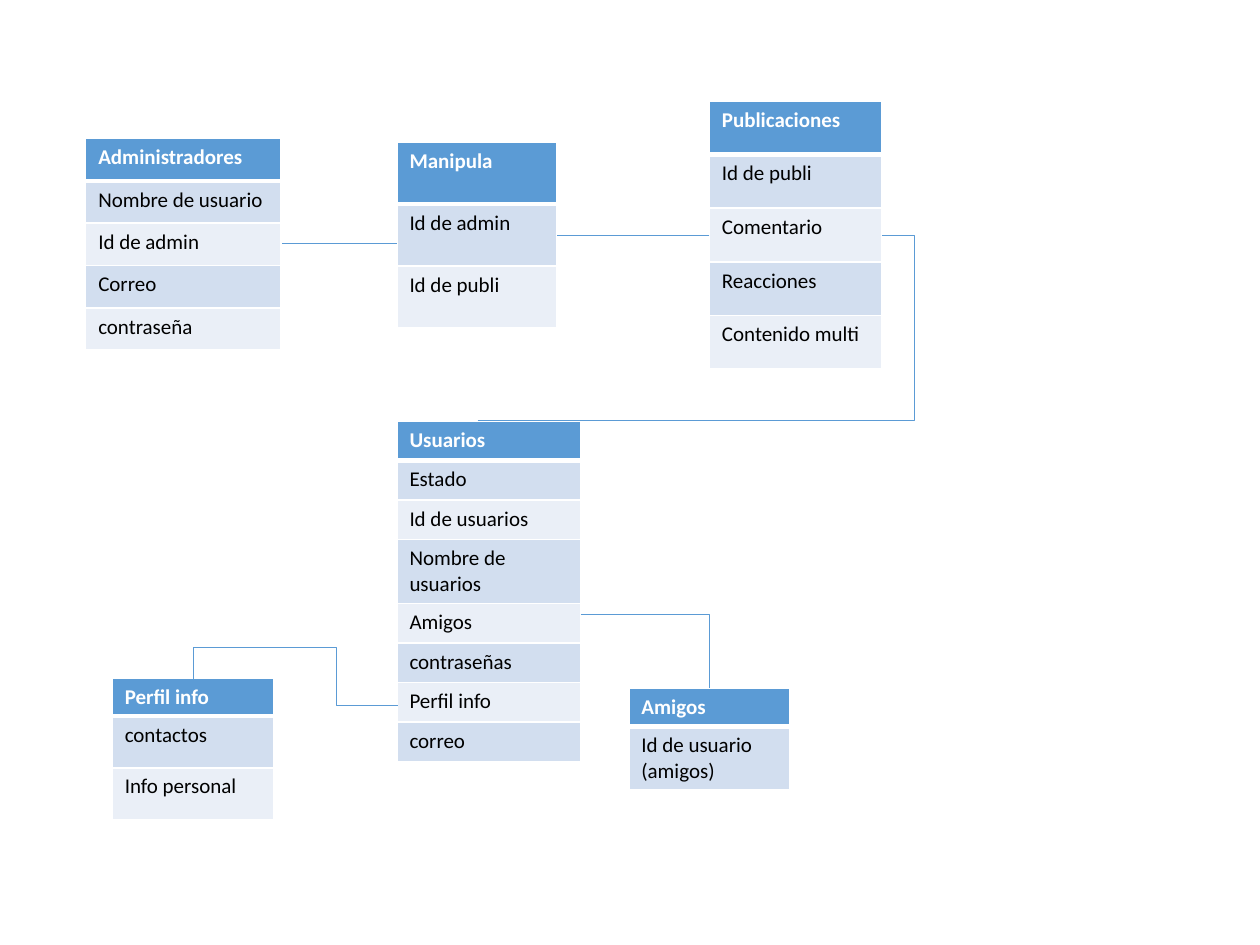
from lxml import etree
from pptx import Presentation
from pptx import util as u
from pptx.dml.color import RGBColor
from pptx.enum import shapes
from pptx.oxml import ns

BLUE = RGBColor(0x5B, 0x9B, 0xD5)
PALE = RGBColor(0xD2, 0xDE, 0xEF)
PALER = RGBColor(0xEA, 0xEF, 0xF7)
WHITE = RGBColor(0xFF, 0xFF, 0xFF)
BLACK = RGBColor(0, 0, 0)

ENTITIES = [
    ((0.68, 1.1, 1.55, 1.68), {},
     ["Administradores", "Nombre de usuario", "Id de admin", "Correo", "contraseña"]),
    ((5.63, 0.8, 1.37, 2.13), {},
     ["Publicaciones", "Id de publi", "Comentario", "Reacciones", "Contenido multi"]),
    ((3.15, 3.34, 1.46, 2.7), {3: 0.5},
     ["Usuarios", "Estado", "Id de usuarios", "Nombre de usuarios",
      "Amigos", "contraseñas", "Perfil info", "correo"]),
    ((3.15, 1.13, 1.27, 1.47), {}, ["Manipula", "Id de admin", "Id de publi"]),
    ((4.99, 5.46, 1.28, 0.8), {0: 0.3}, ["Amigos", "Id de usuario (amigos)"]),
    ((0.89, 5.38, 1.28, 1.11), {0: 0.29}, ["Perfil info", "contactos", "Info personal"]),
]

RELATIONS = [
    ((2.24, 1.93), (3.15, 1.93), "line", [], 0),
    ((5.63, 1.87), (4.42, 1.87), "line", [], 0),
    ((4.61, 4.88), (5.63, 5.46), "bentConnector2", [], 0),
    ((2.45, 4.68), (2.24, 6.3), "bentConnector4", [-1.19, 0.7], 270),
    ((3.79, 3.34), (7, 1.87), "bentConnector3", [1.08], 0),
]


def add_element(parent, tag, **values):
    return etree.SubElement(parent, ns.qn(tag), **values)


def set_values(target, values):
    for name, value in values.items():
        setattr(target, name, value)


def add_borders(cell, is_header):
    properties = cell._tc.get_or_add_tcPr()
    for side in "LRTB":
        points = 3 if is_header and side == "B" else 1
        edge = add_element(properties, f"a:ln{side}", w=str(u.Pt(points)))
        fill = add_element(edge, "a:solidFill")
        add_element(fill, "a:srgbClr", val=str(WHITE))


def fill_cell(cell, index, label):
    is_header = index == 0
    add_borders(cell, is_header)
    cell.fill.solid()
    cell.fill.fore_color.rgb = BLUE if is_header else PALE if index % 2 else PALER
    span = cell.text_frame.paragraphs[0].add_run()
    span.text = label
    set_values(span.font, {"name": "Calibri", "size": u.Pt(12), "bold": is_header})
    span.font.color.rgb = WHITE if is_header else BLACK


def add_entity(page, box, fixed_heights, labels):
    left, top, width, height = map(u.Inches, box)
    table = page.shapes.add_table(len(labels), 1, left, top, width, height).table
    shared = (box[3] - sum(fixed_heights.values())) / (len(labels) - len(fixed_heights))
    for index, label in enumerate(labels):
        table.rows[index].height = u.Inches(fixed_heights.get(index, shared))
        fill_cell(table.cell(index, 0), index, label)


def add_relation(page, start, end, preset, bends, rotation):
    kind = shapes.MSO_CONNECTOR.STRAIGHT if preset == "line" else shapes.MSO_CONNECTOR.ELBOW
    connector = page.shapes.add_connector(kind, *map(u.Inches, start + end))
    set_values(connector.line, {"width": u.Pt(0.5)})
    connector.line.color.rgb = BLUE
    properties = connector._element.spPr
    add_element(properties, "a:effectLst")
    geometry = properties.find(ns.qn("a:prstGeom"))
    geometry.set("prst", preset)
    guides = geometry.find(ns.qn("a:avLst"))
    for number, bend in enumerate(bends, 1):
        add_element(guides, "a:gd", name=f"adj{number}", fmla=f"val {round(bend * 100000)}")
    if rotation:
        properties.find(ns.qn("a:xfrm")).set("rot", str(rotation * 60000))


def build_diagram(deck):
    page = deck.slides.add_slide(deck.slide_layouts[6])
    for entity in ENTITIES:
        add_entity(page, *entity)
    for relation in RELATIONS:
        add_relation(page, *relation)


deck = Presentation()
set_values(deck, {"slide_width": u.Inches(10), "slide_height": u.Inches(7.5)})
build_diagram(deck)
deck.save("out.pptx")
